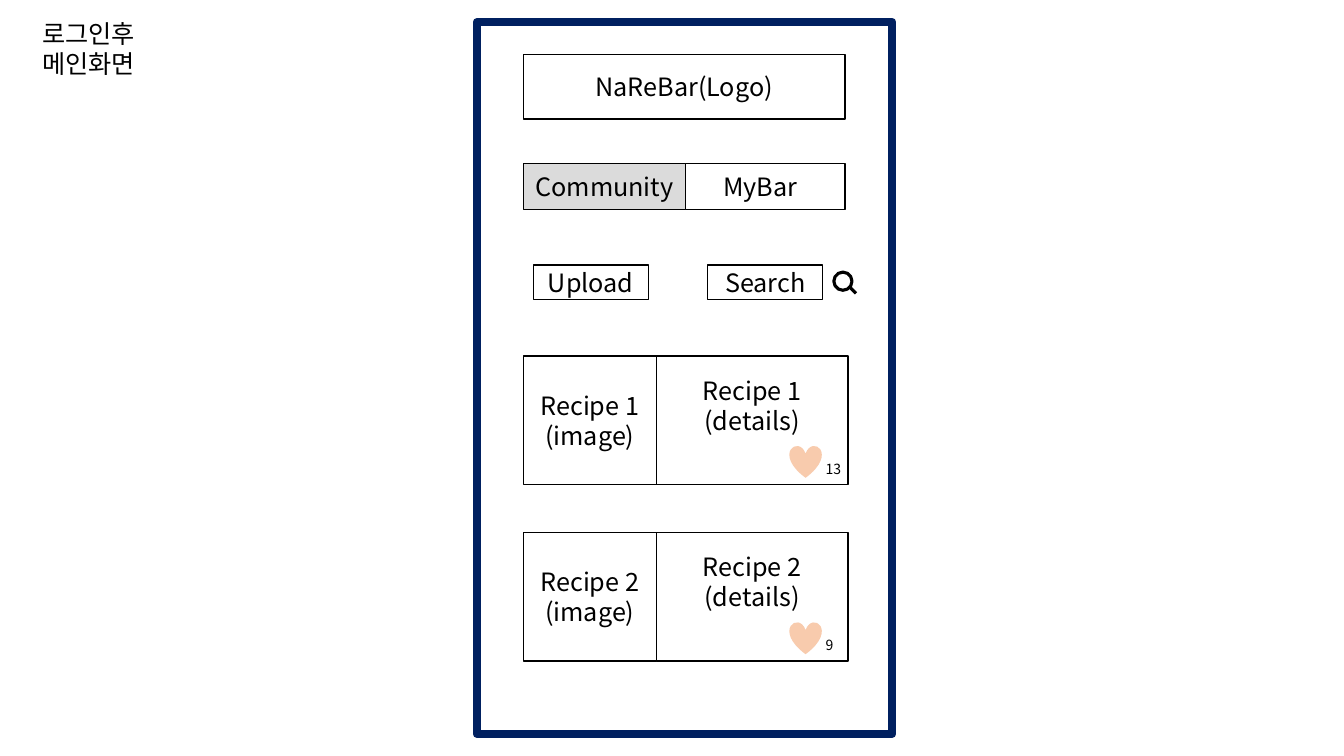
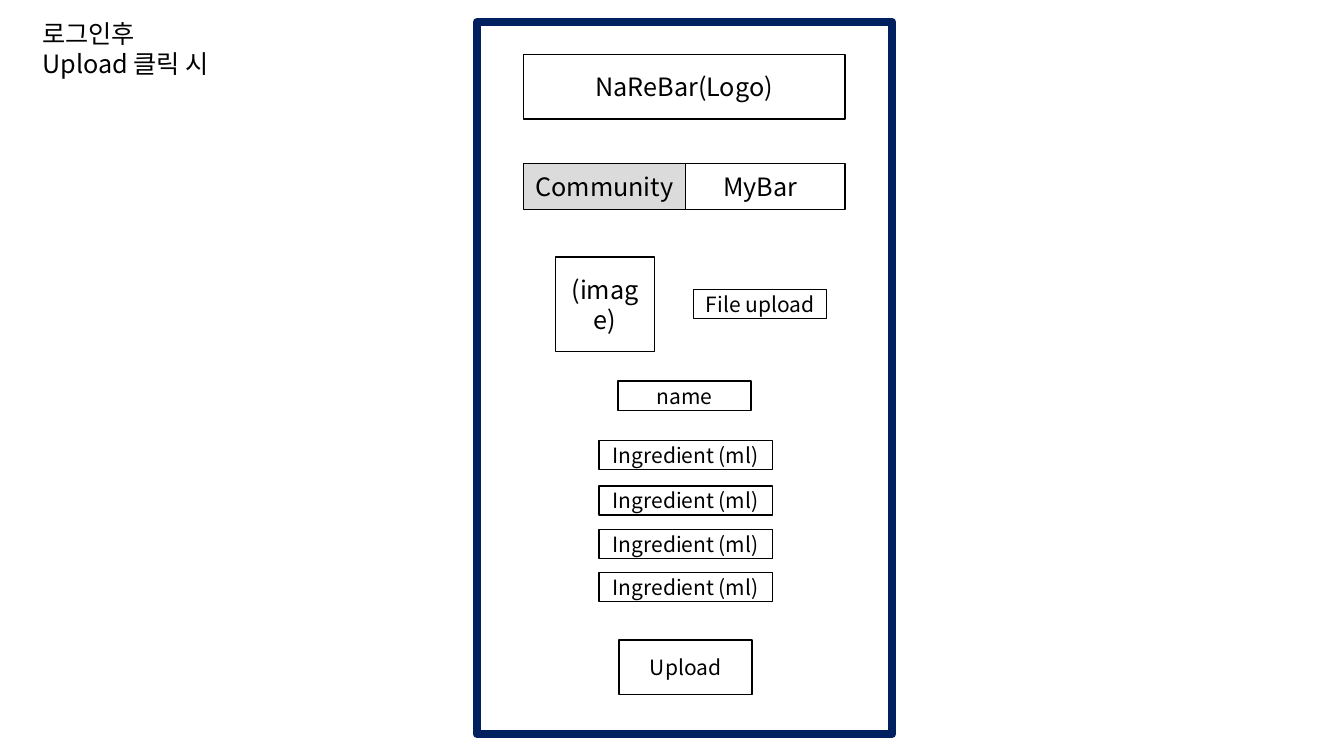
from lxml.etree import SubElement
from pptx import Presentation
from pptx.dml.color import RGBColor
from pptx.enum.shapes import MSO_CONNECTOR, MSO_SHAPE
from pptx.enum.text import MSO_ANCHOR, MSO_AUTO_SIZE, PP_ALIGN
from pptx.oxml.ns import qn
from pptx.util import Inches, Pt

FONT = "Noto Sans CJK KR"
INK, NAVY, PEACH, GRAY, WHITE = "000000", "002060", "F8CBAD", "DBDBDB", "FFFFFF"


def write(frame, text, size, align):
    frame.text = text
    frame.word_wrap = True
    for paragraph in frame.paragraphs:
        paragraph.alignment = align
        paragraph.line_spacing = Pt(size * 1.2)
        paragraph.font.name = FONT
        paragraph.font.size = Pt(size)
        paragraph.font.color.rgb = RGBColor.from_string(INK)
        SubElement(paragraph._p.pPr.find(qn("a:defRPr")), qn("a:ea"), typeface=FONT)


def block(slide, left, top, width, height, text="", size=18, fill=None,
          line=INK, weight=1, kind=MSO_SHAPE.RECTANGLE):
    shape = slide.shapes.add_shape(
        kind, Inches(left), Inches(top), Inches(width), Inches(height))
    shape.shadow.inherit = False
    if fill:
        shape.fill.solid()
        shape.fill.fore_color.rgb = RGBColor.from_string(fill)
    else:
        shape.fill.background()
    if line:
        shape.line.color.rgb = RGBColor.from_string(line)
        shape.line.width = Pt(weight)
    else:
        shape.line.fill.background()
    if text:
        shape.text_frame.vertical_anchor = MSO_ANCHOR.MIDDLE
        write(shape.text_frame, text, size, PP_ALIGN.CENTER)
    return shape


prs = Presentation()
prs.slide_width = Inches(13.33)
prs.slide_height = Inches(7.5)

screens = []
for heading, width in (("로그인후\n메인화면", 1.55), ("로그인후\nUpload 클릭 시", 2.66)):
    screen = prs.slides.add_slide(prs.slide_layouts[5])
    title = screen.shapes.title
    title.left, title.top = Inches(0.32), Inches(0.13)
    title.width, title.height = Inches(width), Inches(0.71)
    title.text_frame.auto_size = MSO_AUTO_SIZE.NONE
    title.text_frame.vertical_anchor = MSO_ANCHOR.TOP
    write(title.text_frame, heading, 18, PP_ALIGN.LEFT)
    block(screen, 4.73, 0.22, 4.12, 7.06, fill=WHITE, line=NAVY, weight=6)
    block(screen, 5.19, 0.54, 3.19, 0.64, "NaReBar(Logo)")
    block(screen, 6.7, 1.62, 1.68, 0.46, "MyBar")
    block(screen, 5.19, 1.62, 1.61, 0.46, "Community", fill=GRAY)
    screens.append(screen)
main, upload = screens

for left, label in ((5.29, "Upload"), (7.02, "Search")):
    block(main, left, 2.63, 1.14, 0.34, label)

block(main, 8.27, 2.7, 0.18, 0.18, weight=2.25, kind=MSO_SHAPE.OVAL)
handle = main.shapes.add_connector(
    MSO_CONNECTOR.STRAIGHT, Inches(8.43), Inches(2.85), Inches(8.49), Inches(2.91))
handle.line.color.rgb = RGBColor.from_string(INK)
handle.line.width = Pt(2.25)
SubElement(handle._element.spPr, qn("a:effectLst"))

for recipe, top, likes in (("Recipe 1", 3.53, "13"), ("Recipe 2", 5.28, "9")):
    block(main, 5.19, top, 1.32, 1.28, f"{recipe}\n(image)")
    details = block(main, 6.51, top, 1.9, 1.28, f"{recipe}\n(details)")
    details.text_frame.margin_bottom = Inches(0.35)
    block(main, 7.83, top + 0.89, 0.32, 0.32, fill=PEACH, line=None, kind=MSO_SHAPE.HEART)
    like_count = main.shapes.add_textbox(
        Inches(8.09), Inches(top + 0.99), Inches(0.5), Inches(0.27))
    write(like_count.text_frame, likes, 10, PP_ALIGN.LEFT)

block(upload, 5.51, 2.55, 0.98, 0.94, "(image)")
block(upload, 6.88, 2.87, 1.32, 0.29, "File upload", 15)
block(upload, 6.13, 3.78, 1.32, 0.29, "name", 15)
for top in (4.37, 4.82, 5.25, 5.68):
    block(upload, 5.94, top, 1.72, 0.29, "Ingredient (ml)", 15)
block(upload, 6.14, 6.35, 1.32, 0.54, "Upload", 15)

prs.save("out.pptx")
